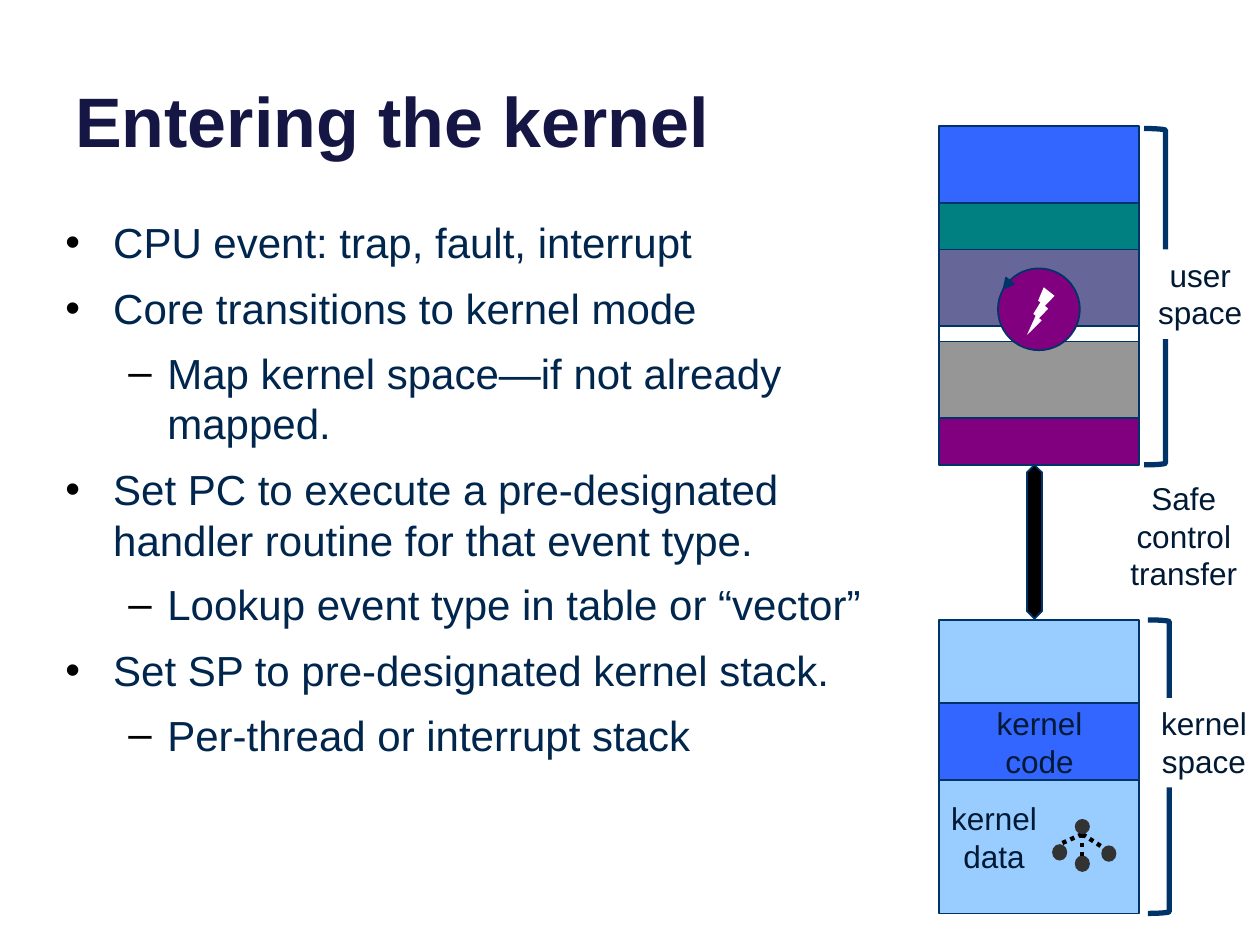
from dataclasses import dataclass

from lxml import etree
from pptx import Presentation
from pptx.dml.color import RGBColor
from pptx.enum.dml import MSO_LINE
from pptx.enum.shapes import MSO_CONNECTOR, MSO_SHAPE
from pptx.enum.text import MSO_ANCHOR, PP_ALIGN
from pptx.oxml.ns import qn
from pptx.util import Inches, Pt

PROCESS = MSO_SHAPE.FLOWCHART_PROCESS
OVAL = MSO_SHAPE.OVAL
BOLT = MSO_SHAPE.LIGHTNING_BOLT
TRIANGLE = MSO_SHAPE.ISOSCELES_TRIANGLE
BRACKET = MSO_SHAPE.RIGHT_BRACKET
TWO_WAY_ARROW = MSO_SHAPE.UP_DOWN_ARROW
RECTANGLE = MSO_SHAPE.RECTANGLE
STRAIGHT = MSO_CONNECTOR.STRAIGHT
DOTTED = MSO_LINE.ROUND_DOT
CENTER = PP_ALIGN.CENTER
TOP = MSO_ANCHOR.TOP
BOTTOM = MSO_ANCHOR.BOTTOM


@dataclass(frozen=True)
class Theme:
    font: str = "Arial"
    title_size: int = 40
    body_size: int = 24
    label_size: int = 18
    title: str = "161645"
    body: str = "00264D"
    label: str = "001934"
    outline: str = "003367"
    black: str = "000000"
    white: str = "FFFFFF"
    blue: str = "3366FF"
    teal: str = "008080"
    slate: str = "666699"
    gray: str = "969696"
    purple: str = "800080"
    sky: str = "99CCFF"
    node: str = "333333"


THEME = Theme()

BULLETS = [
    (0, "CPU event: trap, fault, interrupt"),
    (0, "Core transitions to kernel mode"),
    (1, "Map kernel space—if not already mapped."),
    (0, "Set PC to execute a pre-designated handler routine for that event type."),
    (1, "Lookup event type in table or “vector”"),
    (0, "Set SP to pre-designated kernel stack."),
    (1, "Per-thread or interrupt stack"),
]
# Per level: bullet character, left margin, hanging indent, space before
LEVELS = [("•", 0.38, 0.38, 9), ("–", 0.81, 0.31, 8)]

USER_SEGMENTS = [
    (0.61, THEME.blue),
    (0.37, THEME.teal),
    (0.61, THEME.slate),
    (0.12, THEME.white),
    (0.61, THEME.gray),
    (0.37, THEME.purple),
]


def rgb(value):
    return RGBColor.from_string(value)


def add_shape(shapes, kind, box, fill=None, line=None, weight=1, flip=False):
    shape = shapes.add_shape(kind, *(Inches(length) for length in box))
    shape.shadow.inherit = False
    if fill:
        shape.fill.solid()
        shape.fill.fore_color.rgb = rgb(fill)
    else:
        shape.fill.background()
    if line:
        shape.line.color.rgb = rgb(line)
        shape.line.width = Pt(weight)
    else:
        shape.line.fill.background()
    if flip:
        shape._element.spPr.find(qn("a:xfrm")).set("flipH", "1")
    return shape


def style(para, size, color, bold=False):
    para.font.name = THEME.font
    para.font.size = Pt(size)
    para.font.bold = bold
    para.font.color.rgb = rgb(color)


def add_label(page, box, text, backed=False, wrap=True):
    if backed:
        label = add_shape(page.shapes, RECTANGLE, box, THEME.white)
    else:
        label = page.shapes.add_textbox(*(Inches(length) for length in box))
    frame = label.text_frame
    frame.word_wrap = wrap
    frame.vertical_anchor = TOP
    frame.text = text
    for para in frame.paragraphs:
        para.alignment = CENTER
        style(para, THEME.label_size, THEME.label)


def add_title(page, box, text):
    title = page.shapes.add_textbox(*(Inches(length) for length in box))
    frame = title.text_frame
    frame.word_wrap = True
    frame.vertical_anchor = BOTTOM
    frame.text = text
    style(frame.paragraphs[0], THEME.title_size, THEME.title, bold=True)


def add_bullets(page, box, items):
    body = page.shapes.add_textbox(*(Inches(length) for length in box))
    frame = body.text_frame
    frame.word_wrap = True
    frame.text = "\n".join(text for _, text in items)
    for index, (para, (level, _)) in enumerate(zip(frame.paragraphs, items)):
        mark, margin, hanging, space = LEVELS[level]
        para.level = level
        para.space_before = Pt(space if index else 0)
        props = para._p.get_or_add_pPr()
        props.set("marL", str(Inches(margin)))
        props.set("indent", str(-Inches(hanging)))
        color = etree.SubElement(props, qn("a:buClr"))
        etree.SubElement(color, qn("a:srgbClr")).set("val", THEME.black)
        etree.SubElement(props, qn("a:buFont")).set("typeface", THEME.font)
        etree.SubElement(props, qn("a:buChar")).set("char", mark)
        style(para, THEME.body_size, THEME.body)


def add_bracket(page, box, text, label_top):
    left, top, width, height = box
    bracket = add_shape(page.shapes, BRACKET, box, line=THEME.outline, weight=3)
    bracket.adjustments[0] = 0.084
    add_label(page, (left, label_top, 0.89, 0.71), text, backed=True, wrap=False)


def add_thread(page, left, top):
    group = page.shapes.add_group_shape().shapes
    add_shape(group, OVAL, (left, top, 0.65, 0.65), THEME.purple, THEME.outline)
    add_shape(group, BOLT, (left + 0.23, top + 0.15, 0.22, 0.38), THEME.white, flip=True)
    head = add_shape(group, TRIANGLE, (left + 0.03, top + 0.09, 0.08, 0.08),
                     THEME.outline, THEME.outline)
    head.rotation = 219


def add_user_space(page, box):
    left, top, width, height = box
    segment_top = top
    for segment_height, color in USER_SEGMENTS:
        add_shape(page.shapes, PROCESS, (left, segment_top, width, segment_height),
                  color, THEME.outline)
        segment_top += segment_height
    add_thread(page, left + 0.47, top + 1.13)
    add_bracket(page, (left + 1.63, top + 0.02, 0.17, height - 0.02),
                "user\nspace", top + 0.98)


def add_data_tree(page, left, top):
    # Three leaves, dotted links, then the root on top
    for x, y in [(0, 0.2), (0.18, 0.29), (0.39, 0.21)]:
        add_shape(page.shapes, OVAL, (left + x, top + y, 0.12, 0.13), THEME.node)
    for x, y in [(0.06, 0.2), (0.24, 0.29), (0.41, 0.23)]:
        link = page.shapes.add_connector(
            STRAIGHT, Inches(left + 0.24), Inches(top + 0.12),
            Inches(left + x), Inches(top + y))
        link.line.color.rgb = rgb(THEME.black)
        link.line.width = Pt(2.5)
        link.line.dash_style = DOTTED
        etree.SubElement(link._element.spPr, qn("a:effectLst"))
    add_shape(page.shapes, OVAL, (left + 0.18, top, 0.12, 0.12), THEME.node)


def add_kernel_space(page, box):
    left, top, width, height = box
    add_shape(page.shapes, PROCESS, box, THEME.sky, THEME.outline)
    add_shape(page.shapes, PROCESS, (left, top + 0.66, width, 0.61),
              THEME.blue, THEME.outline)
    add_data_tree(page, left + 0.9, top + 1.58)
    add_label(page, (left + 0.08, top + 0.62, 1.44, 0.71), "kernel\ncode")
    add_label(page, (left - 0.28, top + 1.37, 1.44, 0.71), "kernel\ndata")
    add_bracket(page, (left + 1.66, top, 0.17, height), "kernel\nspace", top + 0.62)


def add_transfer(page, box):
    left, top, width, height = box
    arrow = add_shape(page.shapes, TWO_WAY_ARROW, box, THEME.black, THEME.outline)
    arrow.adjustments[0] = 0.5
    arrow.adjustments[1] = 2
    add_label(page, (left + 0.6, top + 0.06, 1.29, 1.01),
              "Safe control transfer", backed=True)


def main():
    deck = Presentation()
    deck.slide_width, deck.slide_height = Inches(10), Inches(7.5)
    page = deck.slides.add_slide(deck.slide_layouts[6])
    add_title(page, (0.5, -0.37, 9, 1.7), "Entering the kernel")
    add_bullets(page, (0.42, 1.67, 6.58, 5.25), BULLETS)
    add_kernel_space(page, (7.45, 4.92, 1.59, 2.33))
    add_user_space(page, (7.45, 1, 1.59, 2.69))
    add_transfer(page, (8.15, 3.69, 0.12, 1.22))
    deck.save("out.pptx")


if __name__ == "__main__":
    main()
